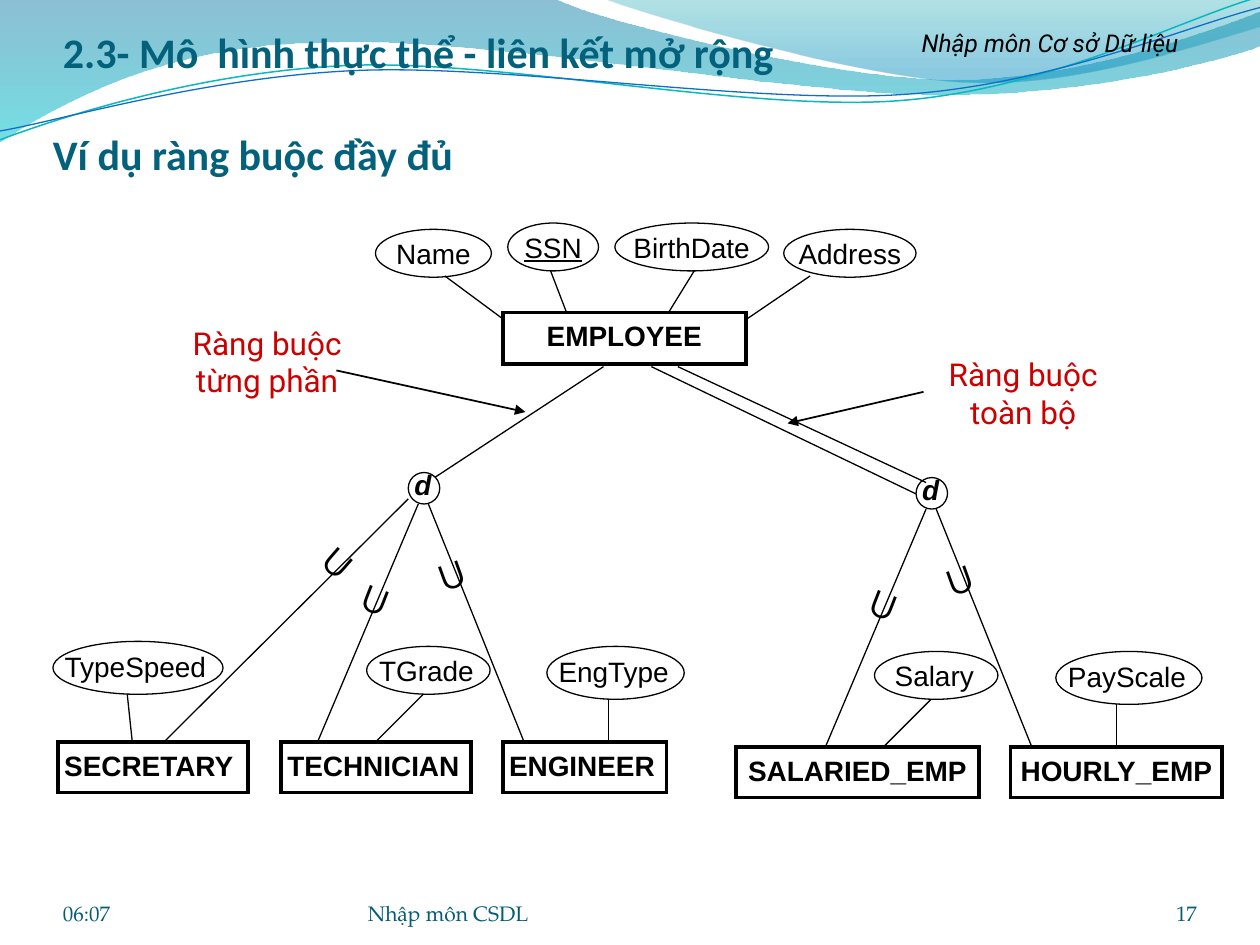
from itertools import chain

from pptx import Presentation
from pptx import util as u
from pptx.dml.color import RGBColor
from pptx.enum import shapes, text
from pptx.oxml.ns import qn
from lxml import etree

COLORS = {
    "ink": "000000", "heading": "04617B", "footer": "045D75", "note": "CC0000",
    "deep": "0074A1", "aqua": "00C6CF", "teal": "00A1A9", "sky": "008BBF",
    "teal line": "0AB8BF", "blue line": "0F6FC6",
}
ALIGN = text.PP_ALIGN
ANCHOR = text.MSO_ANCHOR
SHAPE = shapes.MSO_SHAPE


def inches(value):
    return u.Cm(value * 2.54)


def color(name):
    return RGBColor.from_string(COLORS[name])


def set_text(shape, words, size, font="Arial", ink="ink", align=ALIGN.CENTER,
             anchor=ANCHOR.TOP, insets=(0.1, 0.05, 0.1, 0.05), wrap=True,
             bold=False, italic=False, underline=False):
    frame = shape.text_frame
    frame.word_wrap = wrap
    frame.vertical_anchor = anchor
    (frame.margin_left, frame.margin_top,
     frame.margin_right, frame.margin_bottom) = map(inches, insets)
    paragraph = frame.paragraphs[0]
    paragraph.text = words
    paragraph.alignment = align
    style = paragraph.font
    style.name, style.size = font, u.Pt(size)
    style.bold, style.italic, style.underline = bold, italic, underline
    style.color.rgb = color(ink)


def add_label(slide, box, words, size, rotation=0, **style):
    shape = slide.shapes.add_textbox(*map(inches, box))
    shape.rotation = rotation
    set_text(shape, words, size, **style)


def add_node(slide, kind, box, width=0.75):
    shape = slide.shapes.add_shape(kind, *map(inches, box))
    shape.shadow.inherit = False
    shape.fill.background()
    shape.line.color.rgb = color("ink")
    shape.line.width = u.Pt(width)
    return shape


def add_entity(slide, box, words, side=0.05, align=ALIGN.CENTER):
    shape = add_node(slide, SHAPE.RECTANGLE, box, 2.25)
    etree.SubElement(shape._element.spPr.find(qn("a:ln")), qn("a:miter"), lim="800000")
    set_text(shape, words, 16, bold=True, align=align, insets=(side, 0.05, side, 0.05))


def add_attribute(slide, box, words, right=0, underline=False):
    set_text(add_node(slide, SHAPE.OVAL, box), words, 16, wrap=False,
             insets=(0, 0, right, 0), underline=underline)


def add_link(slide, start, end, arrow=False):
    link = slide.shapes.add_connector(shapes.MSO_CONNECTOR.STRAIGHT,
                                      *map(inches, (*start, *end)))
    link.line.color.rgb = color("ink")
    link.line.width = u.Pt(1 if arrow else 0.75)
    properties = link._element.spPr
    if arrow:
        etree.SubElement(properties.find(qn("a:ln")), qn("a:tailEnd"), type="triangle")
    etree.SubElement(properties, qn("a:effectLst"))


def add_outline(slide, start, segments, close=False):
    """Join segments: one point makes a line, each three points make a cubic curve."""
    points = [tuple(map(inches, point)) for point in chain([start], *segments)]
    builder = slide.shapes.build_freeform(*points[0])
    builder.add_line_segments(points[1:], close=close)
    shape = builder.convert_to_shape()
    shape.shadow.inherit = False
    steps = list(shape._element.spPr.iter(qn("a:lnTo")))
    first = 0
    for segment in segments:
        for index in range(first, first + len(segment) - 2, 3):
            curve = etree.Element(qn("a:cubicBezTo"))
            steps[index].addprevious(curve)
            for step in steps[index:index + 3]:
                curve.append(step[0])
                step.getparent().remove(step)
        first += len(segment)
    return shape


def add_wave(slide, start, segments, stops):
    shape = add_outline(slide, start, segments, close=True)
    shape.line.fill.background()
    shape.fill.gradient()
    shape.fill.gradient_angle = 270
    for stop, (position, name, _) in zip(shape.fill.gradient_stops, stops):
        stop.position = position
        stop.color.rgb = color(name)
    tints = list(shape._element.spPr.iter(qn("a:srgbClr")))
    for tint, (_, _, opacity) in zip(tints, stops):
        etree.SubElement(tint, qn("a:alpha"), val=str(opacity * 1000))


def add_curve(slide, start, points, name, width):
    shape = add_outline(slide, start, [points])
    shape.fill.background()
    shape.line.color.rgb = color(name)
    shape.line.width = u.Pt(width)


def add_background(slide):
    add_wave(slide, (0, -0.01), [
        [(4.4, -0.01)],
        [(4.76, 0.17), (6.64, 0.63), (7.58, 0.63), (8.53, 0.63), (9.58, 0.26), (10, 0.09)],
        [(10.01, 0.36)],
        [(9.83, 0.44), (8.7, 0.76), (7.46, 0.75), (6.22, 0.75), (3.82, 0.28),
         (2.57, 0.34), (1.29, 0.35), (0.46, 0.83), (-0.01, 1.13)],
    ], [(0, "deep", 45), (1, "aqua", 55)])
    add_wave(slide, (4.79, -0.01), [
        [(5.09, 0.11), (6.82, 0.62), (7.69, 0.65), (8.56, 0.69), (9.61, 0.32), (10, 0.21)],
        [(10, 0)],
    ], [(0, "teal", 30), (0.8, "sky", 45)])
    add_curve(slide, (0, 1.11), [
        (0.48, 0.93), (1.58, 0.57), (2.77, 0.52), (3.95, 0.47), (5.93, 0.89),
        (7.13, 0.8), (8.33, 0.71), (9.38, 0.15), (9.98, -0.02)], "teal line", 0.85)
    add_curve(slide, (0, 1.04), [
        (0.47, 0.96), (1.64, 0.61), (2.83, 0.56), (4.03, 0.51), (5.97, 0.83),
        (7.17, 0.75), (8.36, 0.67), (9.41, 0.21), (10, 0.06)], "blue line", 0.75)


def add_headings(slide):
    heading = dict(font="Calibri", ink="heading", bold=True, align=ALIGN.LEFT,
                   anchor=ANCHOR.BOTTOM, insets=(0, 0.05, 0, 0))
    add_label(slide, (0.5, 0.25, 9, 0.36),
              "2.3- Mô  hình thực thể - liên kết mở rộng", 24, **heading)
    add_label(slide, (0.42, 0.75, 9, 0.67), "Ví dụ ràng buộc đầy đủ", 24, **heading)
    add_label(slide, (6.67, 0.17, 3.33, 0.34), "Nhập môn Cơ sở Dữ liệu", 14,
              font="Roboto", italic=True)
    for left, width, words, align in ((0.5, 2.33, "06:07", ALIGN.LEFT),
                                      (2.92, 3.67, "Nhập môn CSDL", ALIGN.LEFT),
                                      (8.67, 0.83, "17", ALIGN.RIGHT)):
        add_label(slide, (left, 6.95, width, 0.4), words, 12, font="TeX Gyre Pagella",
                  ink="footer", align=align, anchor=ANCHOR.BOTTOM, insets=(0, 0, 0, 0))


def add_subset(slide, left, top, rotation):
    add_label(slide, (left, top, 0.46, 0.5), "∪", 24, rotation, align=ALIGN.LEFT)


def add_employee(slide):
    add_entity(slide, (3.99, 2.48, 1.93, 0.41), "EMPLOYEE", side=0.1)
    for left, top, width, words, start, end in (
            (2.98, 1.82, 0.92, "Name", (3.53, 2.19), (3.99, 2.53)),
            (4.03, 1.77, 0.72, "SSN", (4.37, 2.15), (4.5, 2.49)),
            (4.88, 1.77, 1.22, "BirthDate", (5.51, 2.15), (5.3, 2.49)),
            (6.22, 1.82, 1.05, "Address", (6.43, 2.19), (5.93, 2.53))):
        add_attribute(slide, (left, top, width, 0.38), words, underline=words == "SSN")
        add_link(slide, start, end)


def add_specialization(slide, dx, dy, entities, attributes, align):
    """Draw a disjoint circle with its subclasses."""
    add_node(slide, SHAPE.OVAL, (3.24 + dx, 3.75 + dy, 0.25, 0.25))
    add_label(slide, (3.19 + dx, 3.66 + dy, 0.55, 0.37), "d", 16,
              align=ALIGN.LEFT, bold=True, italic=True)
    for start, end in (((3.4, 4), (4.16, 5.89)), ((3.32, 4), (2.52, 5.89)),
                       ((3.36, 5.51), (2.98, 5.89)), ((4.83, 5.55), (4.83, 5.89))):
        add_link(slide, (start[0] + dx, start[1] + dy), (end[0] + dx, end[1] + dy))
    add_subset(slide, 2.77 + dx, 4.5 + dy, 21.4)
    add_subset(slide, 3.36 + dx, 4.29 + dy, 340.3)
    for left, width, words in entities:
        add_entity(slide, (left, 5.89 + dy, width, 0.4), words, align=align)
    for left, width, height, words in attributes:
        add_attribute(slide, (left, 5.13 + dy, width, height), words, right=0.03)


def add_constraints(slide):
    for start, end in (((4.79, 2.91), (3.45, 3.79)), ((5.38, 2.91), (7.35, 3.83)),
                       ((5.17, 2.91), (7.27, 3.92))):
        add_link(slide, start, end)
    for left, top, words, start, end in (
            (1.33, 2.52, "Ràng buộc từng phần", (2.67, 2.94), (4.17, 3.27)),
            (7.33, 2.77, "Ràng buộc toàn bộ", (7.33, 3.11), (6.25, 3.36))):
        add_link(slide, start, end, arrow=True)
        add_label(slide, (left, top, 1.58, 0.7), words, 18, font="Roboto", ink="note")


def main():
    presentation = Presentation()
    presentation.slide_width, presentation.slide_height = u.Cm(25.4), u.Cm(19.05)
    slide = presentation.slides.add_slide(presentation.slide_layouts[6])
    add_background(slide)
    add_headings(slide)
    # Superclass and its constraints
    add_employee(slide)
    add_constraints(slide)
    # Partial specialization, with a third subclass on the left
    add_specialization(slide, 0, 0,
                       [(0.46, 1.51, "SECRETARY"), (2.23, 1.51, "TECHNICIAN"),
                        (3.99, 1.3, "ENGINEER")],
                       [(2.91, 0.98, 0.38, "TGrade"), (4.34, 1.09, 0.42, "EngType")],
                       ALIGN.LEFT)
    add_attribute(slide, (0.42, 5.09, 1.35, 0.42), "TypeSpeed", right=0.04)
    add_link(slide, (1.01, 5.51), (1.05, 5.89))
    add_link(slide, (3.24, 3.96), (1.3, 5.89))
    add_subset(slide, 2.48, 4.21, 41.1)
    # Total specialization
    add_specialization(slide, 4.03, 0.04,
                       [(5.84, 1.93, "SALARIED_EMP"), (8.02, 1.68, "HOURLY_EMP")],
                       [(6.94, 0.98, 0.38, "Salary"), (8.38, 1.16, 0.42, "PayScale")],
                       ALIGN.CENTER)
    presentation.save("out.pptx")


main()
